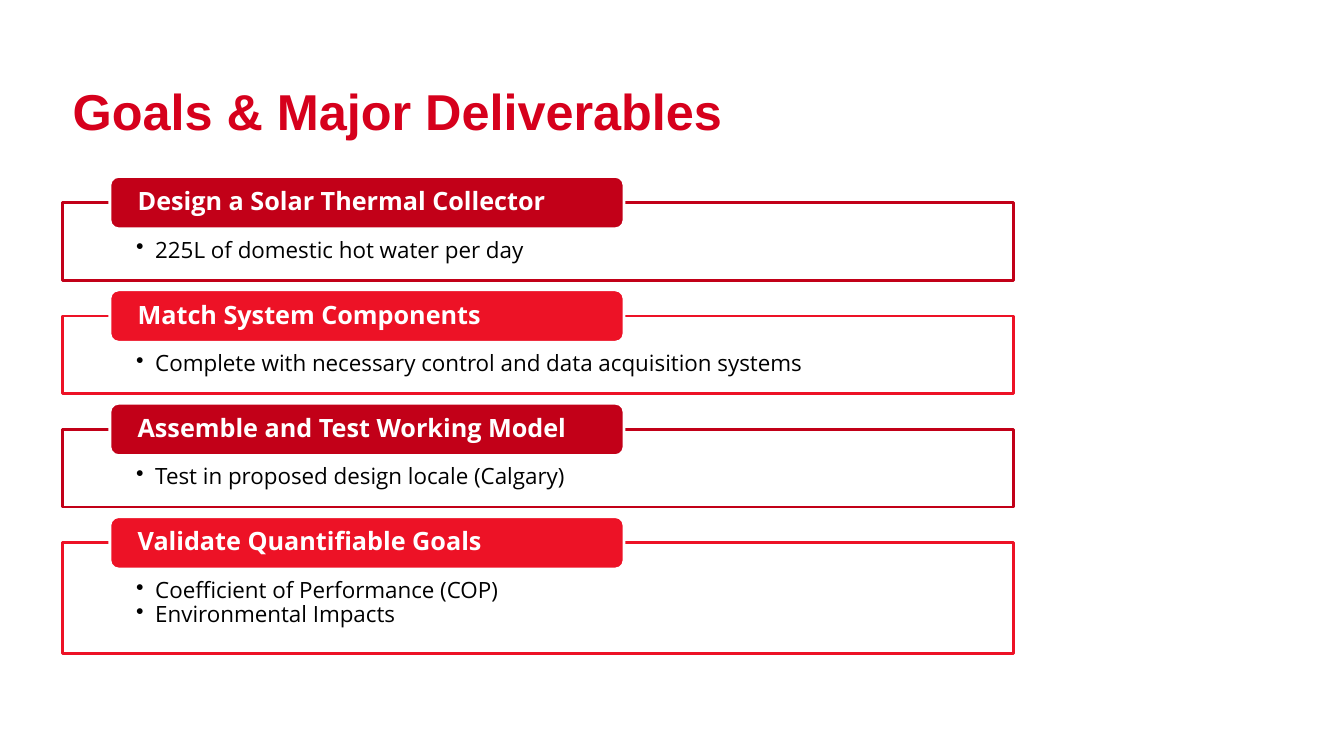
from pptx import Presentation
from pptx.dml.color import RGBColor
from pptx.enum.shapes import MSO_SHAPE
from pptx.enum.text import MSO_ANCHOR, MSO_AUTO_SIZE, PP_ALIGN
from pptx.oxml.ns import qn
from pptx.util import Inches, Pt
from lxml import etree

RECTANGLE, ROUNDED = MSO_SHAPE.RECTANGLE, MSO_SHAPE.ROUNDED_RECTANGLE
TOP, MIDDLE = MSO_ANCHOR.TOP, MSO_ANCHOR.MIDDLE
LEFT = PP_ALIGN.LEFT
NO_AUTOFIT = MSO_AUTO_SIZE.NONE

# Content
TITLE = "Goals & Major Deliverables"
GOALS = [
    ("Design a Solar Thermal Collector", ["225L of domestic hot water per day"]),
    ("Match System Components",
     ["Complete with necessary control and data acquisition systems"]),
    ("Assemble and Test Working Model", ["Test in proposed design locale (Calgary)"]),
    ("Validate Quantifiable Goals",
     ["Coefficient of Performance (COP)", "Environmental Impacts"]),
]
COLORS = {"title": "D6001C", "dark": "C20018", "bright": "ED1226",
          "white": "FFFFFF", "black": "000000"}
GOAL_COLORS = ["dark", "bright"]

# Layout in inches
FRAME_LEFT, FRAME_TOP, FRAME_WIDTH = 0.62, 2.01, 9.43
FRAME_HEIGHT, EXTRA_LINE, FRAME_GAP = 0.77, 0.33, 0.355
TAB_LEFT, TAB_WIDTH, TAB_HEIGHT = 1.09, 5.1, 0.52
BULLET_INDENT = 0.19


def rgb(name):
    return RGBColor.from_string(COLORS[name])


def write(shape, lines, size, color, font="Open Sans", bold=False, anchor=MIDDLE,
          insets=(0.1, 0.05, 0.1, 0.05), spacing=0.9, bullets=False):
    frame = shape.text_frame
    frame.word_wrap = True
    frame.auto_size = NO_AUTOFIT
    frame.vertical_anchor = anchor
    (frame.margin_left, frame.margin_top,
     frame.margin_right, frame.margin_bottom) = map(Inches, insets)
    for index, line in enumerate(lines):
        paragraph = frame.add_paragraph() if index else frame.paragraphs[0]
        paragraph.alignment = LEFT
        paragraph.line_spacing = spacing
        paragraph.space_before = paragraph.space_after = Pt(0)
        run = paragraph.add_run()
        run.text = line
        run.font.size, run.font.bold, run.font.name = Pt(size), bold, font
        run.font.color.rgb = rgb(color)
        if bullets:
            properties = paragraph._p.get_or_add_pPr()
            properties.set("marL", str(Inches(BULLET_INDENT)))
            properties.set("indent", str(-Inches(BULLET_INDENT)))
            etree.SubElement(properties, qn("a:buChar"), char="•")


def add_box(slide, kind, left, top, width, height, fill, line):
    box = slide.shapes.add_shape(kind, *map(Inches, (left, top, width, height)))
    box.shadow.inherit = False
    box.fill.solid()
    box.fill.fore_color.rgb = rgb(fill)
    box.line.color.rgb = rgb(line)
    box.line.width = Pt(2)
    return box


def main():
    deck = Presentation()
    deck.slide_width, deck.slide_height = Inches(13.33), Inches(7.5)
    slide = deck.slides.add_slide(deck.slide_layouts[5])

    # Title
    title = slide.shapes.title
    title.left, title.top = Inches(FRAME_LEFT), Inches(0.51)
    title.width, title.height = Inches(10.63), Inches(1.13)
    write(title, [TITLE], 36, "title", font="Arial", bold=True, spacing=1.06)

    # Goals: an outlined frame with a heading tab centred on its top edge
    top = FRAME_TOP
    for index, (heading, deliverables) in enumerate(GOALS):
        color = GOAL_COLORS[index % len(GOAL_COLORS)]
        height = FRAME_HEIGHT + EXTRA_LINE * (len(deliverables) - 1)
        frame = add_box(slide, RECTANGLE, FRAME_LEFT, top, FRAME_WIDTH, height,
                        "white", color)
        write(frame, deliverables, 16, "black", anchor=TOP,
              insets=(0.73, 0.36, 0.73, 0.12), bullets=True)
        tab = add_box(slide, ROUNDED, TAB_LEFT, top - TAB_HEIGHT / 2, TAB_WIDTH,
                      TAB_HEIGHT, color, "white")
        write(tab, [heading], 18, "white", bold=True, insets=(0.25, 0, 0.25, 0))
        top += height + FRAME_GAP

    deck.save("out.pptx")


if __name__ == "__main__":
    main()
